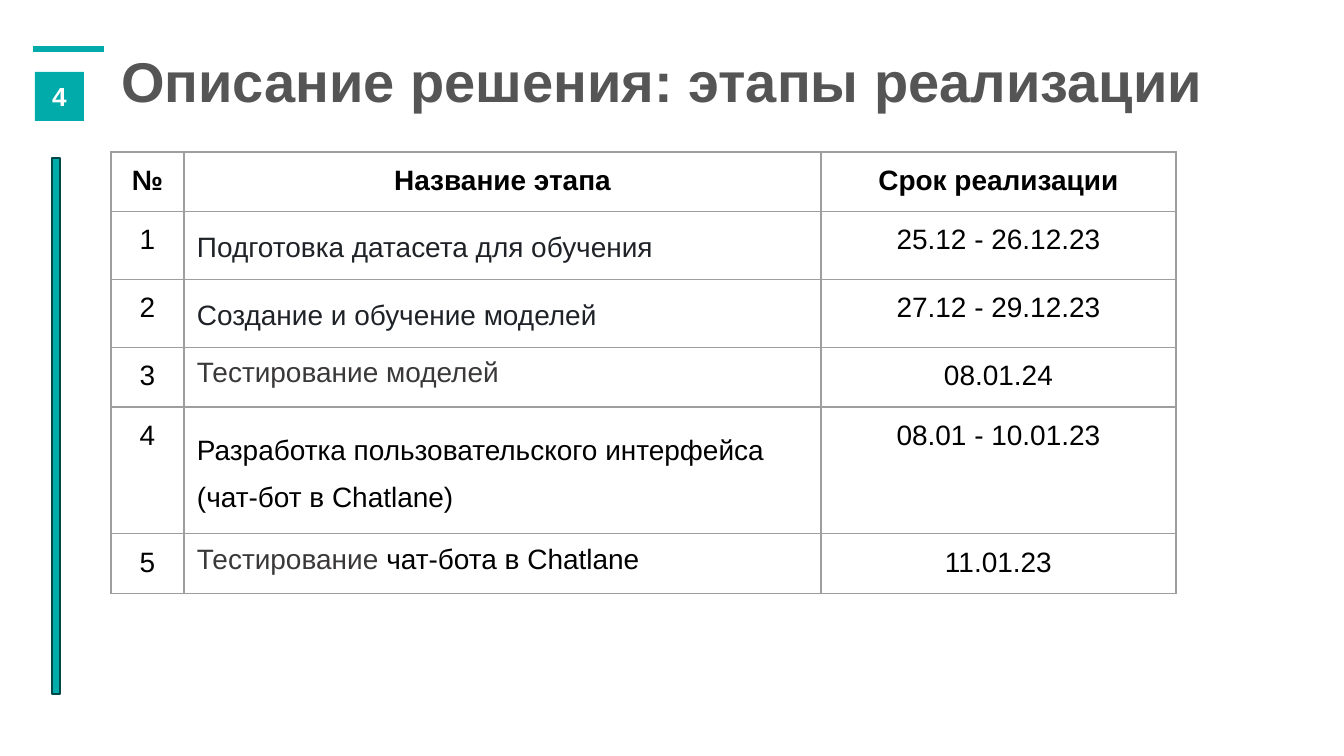
from dataclasses import dataclass
from lxml.etree import SubElement
from pptx import Presentation
from pptx.dml.color import RGBColor
from pptx.enum.shapes import MSO_CONNECTOR, MSO_SHAPE
from pptx.enum.text import MSO_ANCHOR, PP_ALIGN
from pptx.oxml.ns import qn
from pptx.util import Pt

PX = 914400 / 134.4


@dataclass(frozen=True)
class Theme:
    font: str = "Arial"
    accent: str = "00ABAA"
    accent_edge: str = "004847"
    title: str = "555555"
    text: str = "000000"
    ink: str = "1F2328"
    soft: str = "3A3838"
    grid: str = "9E9E9E"
    white: str = "FFFFFF"
    title_size: int = 30
    number_size: int = 14
    table_size: int = 15


theme = Theme()


def px(*lengths):
    return [round(length * PX) for length in lengths]


def write(frame, spans, size, bold=False, align=PP_ALIGN.LEFT, spacing=1.0):
    frame.word_wrap = True
    para = frame.paragraphs[0]
    para.alignment = align
    para.line_spacing = spacing
    for text, color in spans:
        span = para.add_run()
        span.text = text
        span.font.name = theme.font
        span.font.size = Pt(size)
        span.font.bold = bold
        span.font.color.rgb = RGBColor.from_string(color)


deck = Presentation()
deck.slide_width, deck.slide_height = px(1344, 756)
page = deck.slides.add_slide(deck.slide_layouts[6])

title = page.shapes.add_textbox(*px(112, 7, 1158, 146)).text_frame
title.margin_left, title.margin_right, title.margin_top, title.margin_bottom = px(9, 9, 5, 5)
title.vertical_anchor = MSO_ANCHOR.MIDDLE
write(title, [("Описание решения: этапы реализации", theme.title)], theme.title_size, bold=True)

columns = [73, 637, 355]
row_heights = [58, 66, 65, 58, 120, 58]
stages = [
    ([("Подготовка датасета для обучения", theme.ink)], 1.25, "25.12 - 26.12.23"),
    ([("Создание и обучение моделей", theme.ink)], 1.25, "27.12 - 29.12.23"),
    ([("Тестирование моделей", theme.soft)], 0.9, "08.01.24"),
    ([("Разработка пользовательского интерфейса (чат-бот в Chatlane)", theme.text)], 1.5, "08.01 - 10.01.23"),
    ([("Тестирование ", theme.soft), ("чат-бота в Chatlane", theme.text)], 0.9, "11.01.23"),
]
rows = [[([(name, theme.text)], 1.0) for name in ("№", "Название этапа", "Срок реализации")]]
for number, (stage, spacing, dates) in enumerate(stages, 1):
    rows.append([([(str(number), theme.text)], 1.0), (stage, spacing), ([(dates, theme.text)], 1.0)])

table = page.shapes.add_table(
    len(rows), len(columns), *px(111, 152, sum(columns), sum(row_heights))
).table
table.first_row = table.horz_banding = False
for column, width in zip(table.columns, px(*columns)):
    column.width = width
for row, height in zip(table.rows, px(*row_heights)):
    row.height = height

for row_index, row in enumerate(rows):
    for column_index, (spans, spacing) in enumerate(row):
        cell = table.cell(row_index, column_index)
        cell.margin_left, cell.margin_right, cell.margin_top, cell.margin_bottom = px(13, 13, 13, 13)
        header = row_index == 0
        align = PP_ALIGN.LEFT if column_index == 1 and not header else PP_ALIGN.CENTER
        write(cell.text_frame, spans, theme.table_size, header, align, spacing)
        properties = cell._tc.get_or_add_tcPr()
        for side in ("a:lnL", "a:lnR", "a:lnT", "a:lnB"):
            border = SubElement(properties, qn(side), w=str(Pt(0.75)))
            SubElement(SubElement(border, qn("a:solidFill")), qn("a:srgbClr"), val=theme.grid)
        cell.fill.background()

rule = page.shapes.add_connector(MSO_CONNECTOR.STRAIGHT, *px(33, 49, 104, 49))
rule.line.color.rgb = RGBColor.from_string(theme.accent)
rule.line.width = Pt(3)
SubElement(rule._element.spPr, qn("a:effectLst"))

badge = page.shapes.add_shape(MSO_SHAPE.RECTANGLE, *px(35, 72, 49, 49))
bar = page.shapes.add_shape(MSO_SHAPE.RECTANGLE, *px(52, 158, 8, 536))
for box in (badge, bar):
    box.shadow.inherit = False
    box.fill.solid()
    box.fill.fore_color.rgb = RGBColor.from_string(theme.accent)
badge.line.fill.background()
bar.line.color.rgb = RGBColor.from_string(theme.accent_edge)
bar.line.width = Pt(1)

number = badge.text_frame
number.margin_left, number.margin_right, number.margin_top, number.margin_bottom = px(9, 9, 5, 5)
number.vertical_anchor = MSO_ANCHOR.MIDDLE
write(number, [("4", theme.white)], theme.number_size, bold=True, align=PP_ALIGN.CENTER)

deck.save("out.pptx")
